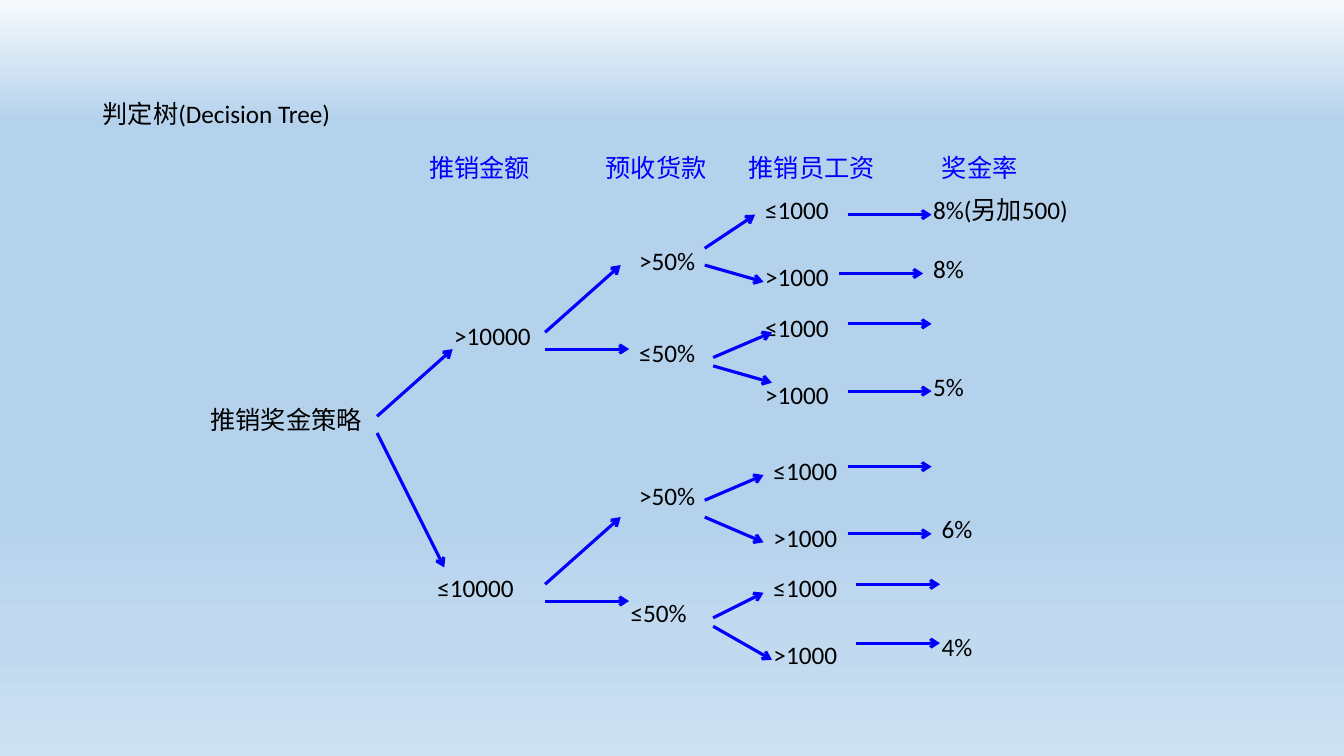
from dataclasses import dataclass

from lxml.etree import SubElement
from pptx import Presentation
from pptx.dml.color import RGBColor
from pptx.enum.shapes import MSO_CONNECTOR as Connector
from pptx.enum.text import MSO_ANCHOR as Anchor, MSO_AUTO_SIZE as AutoSize
from pptx.oxml.ns import qn
from pptx.util import Inches, Pt

COLORS = {"text": "000000", "accent": "0000FF"}
BACKGROUND = {0: "F7FAFD", 16: "B5D2EC", 71: "B8D4ED", 86: "C2DAEF", 100: "CEE1F2"}
LATIN, CHINESE = "Calibri", "Noto Sans CJK SC"
CELL = 1 / 12
LABEL_ROWS = 4.8
HANGING = Inches(0.38)
RATE_ARROW = 10

HEADINGS = [("推销金额", 0, 18), ("预收货款", 21, 18),
            ("推销员工资", 38, 21), ("奖金率", 61, 18)]

NODES = [
    ("推销奖金策略", 0, 25, 23),
    (">10000", 29, 15, 19), ("≤10000", 27, 45, 17),
    (">50%", 51, 6, 13), ("≤50%", 51, 17, 13),
    (">50%", 51, 34, 12), ("≤50%", 50, 48, 12),
]
SALARIES = [(66, 0), (66, 8), (66, 14), (66, 22),
            (67, 31), (67, 39), (67, 45), (67, 53)]
RATES = [("8%(另加500)", 86, 0, 24.5), ("8%", 86, 7, 21), ("5%", 86, 21, 21),
         ("6%", 87, 38, 21), ("4%", 87, 52, 21)]

ROOT_BRANCHES = [(21, 27, 30, 19), (21, 29, 29, 45)]
AMOUNT_BRANCHES = [(41, 17, 50, 9), (41, 19, 51, 19)]
AMOUNT_STEP = 30
PAYMENT_BRANCHES = [
    (60, 7, 66, 3), (60, 9, 67, 11), (61, 20, 68, 17), (61, 21, 68, 23),
    (60, 37, 67, 34), (60, 39, 67, 42), (61, 51, 67, 48), (61, 52, 68, 56),
]
RATE_STARTS = [(77, 3), (76, 10), (77, 16), (77, 24),
               (77, 33), (77, 41), (78, 47), (78, 54)]


@dataclass
class Region:
    left: float
    top: float

    def x(self, column):
        return Inches(self.left + column * CELL)

    def y(self, row):
        return Inches(self.top + row * CELL)


def set_values(target, values):
    for name, value in values.items():
        setattr(target, name, value)


def add_text(page, text, left, top, width, height, latin=LATIN, color="text",
             hanging=HANGING, frame_format=None):
    box = page.shapes.add_textbox(left, top, width, height)
    set_values(box.text_frame, {"word_wrap": True, **(frame_format or {})})
    para = box.text_frame.paragraphs[0]
    if hanging:
        properties = para._p.get_or_add_pPr()
        properties.set("marL", str(hanging))
        properties.set("indent", str(-hanging))
    span = para.add_run()
    span.text = text
    set_values(span.font, {"name": latin, "size": Pt(18)})
    span.font.color.rgb = RGBColor.from_string(COLORS[color])
    SubElement(span.font._element, qn("a:ea"), typeface=CHINESE)


def add_label(page, region, text, column, row, columns, **style):
    add_text(page, text, region.x(column), region.y(row),
             Inches(columns * CELL), Inches(LABEL_ROWS * CELL),
             frame_format={"auto_size": AutoSize.SHAPE_TO_FIT_TEXT}, **style)


def add_arrow(page, region, start_column, start_row, end_column, end_row):
    arrow = page.shapes.add_connector(
        Connector.STRAIGHT, region.x(start_column), region.y(start_row),
        region.x(end_column), region.y(end_row))
    arrow.line.width = Pt(2.25)
    arrow.line.color.rgb = RGBColor.from_string(COLORS["accent"])
    SubElement(arrow.line._get_or_add_ln(), qn("a:tailEnd"), type="arrow")
    SubElement(arrow._element.spPr, qn("a:effectLst"))


def paint_background(page):
    fill = page.background.fill
    fill.gradient()
    fill.gradient_angle = 270
    stops = page._element.find(".//" + qn("a:gsLst"))
    for stop in list(stops):
        stops.remove(stop)
    for percent, color in BACKGROUND.items():
        stop = SubElement(stops, qn("a:gs"), pos=str(percent * 1000))
        SubElement(stop, qn("a:srgbClr"), val=color)


def draw_title(page, left, top, width, height):
    add_text(page, "判定树(Decision Tree)", left, top, width, height,
             hanging=0, frame_format={"vertical_anchor": Anchor.MIDDLE})


def draw_headings(page, region):
    for text, column, columns in HEADINGS:
        add_label(page, region, text, column, 0, columns,
                  latin=CHINESE, color="accent")


def draw_tree(page, region):
    salaries = [(("≤1000", ">1000")[index % 2], column, row, 13)
                for index, (column, row) in enumerate(SALARIES)]
    for node in NODES + salaries + RATES:
        add_label(page, region, *node)
    lower_branches = [(x1, y1 + AMOUNT_STEP, x2, y2 + AMOUNT_STEP)
                      for x1, y1, x2, y2 in AMOUNT_BRANCHES]
    rate_arrows = [(column, row, column + RATE_ARROW, row)
                   for column, row in RATE_STARTS]
    for branch in (ROOT_BRANCHES + AMOUNT_BRANCHES + lower_branches
                   + PAYMENT_BRANCHES + rate_arrows):
        add_arrow(page, region, *branch)


def main():
    deck = Presentation()
    set_values(deck, {"slide_width": Inches(13.33), "slide_height": Inches(7.5)})
    page = deck.slides.add_slide(deck.slide_layouts[6])
    paint_background(page)
    draw_title(page, Inches(0.92), Inches(0.4), Inches(11.5), Inches(1.45))
    draw_headings(page, Region(4.16, 1.46))
    draw_tree(page, Region(1.99, 1.88))
    deck.save("out.pptx")


if __name__ == "__main__":
    main()
